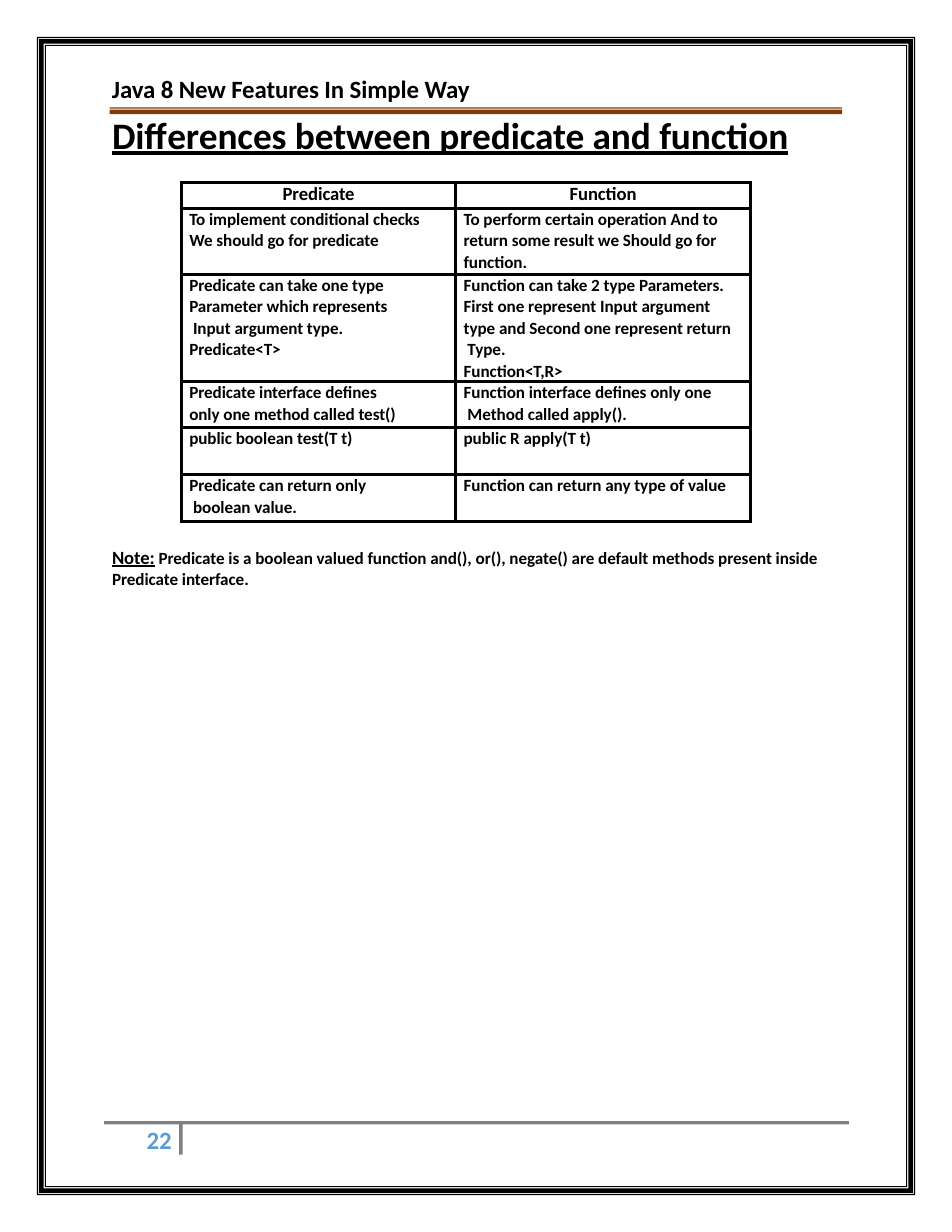
from copy import deepcopy

from lxml.etree import SubElement
from pptx import Presentation
from pptx.dml.color import RGBColor
from pptx.enum.text import MSO_ANCHOR as ANCHOR, MSO_AUTO_SIZE as FIT, PP_ALIGN as ALIGN
from pptx.oxml.ns import qn
from pptx.util import Inches, Pt

COLORS = {"ink": "000000", "rule": "823A0A", "footer": "808080", "page": "5B9BD4"}
COLS, ROWS = 85, 110
ROW_HEIGHTS = [2.3, 5.9, 9.6, 4.1, 4.2, 4.2]
COL_WIDTHS = [24.5, 26.3]
CELLS = [
    (["Predicate"], ["Function"]),
    (["To implement conditional checks\nWe should go for predicate"],
     ["To perform certain operation And to\nreturn some result we Should go for\nfunction."]),
    (["Predicate can take one type\nParameter which represents\n Input argument type.",
      "Predicate<T>"],
     ["Function can take 2 type Parameters.\nFirst one represent Input argument\n"
      "type and Second one represent return\n Type.", "Function<T,R>"]),
    (["Predicate interface defines\nonly one method called test()"],
     ["Function interface defines only one\n Method called apply()."]),
    (["public boolean test(T t)"], ["public R apply(T t)"]),
    (["Predicate can return only\n boolean value."],
     ["Function can return any type of value"]),
]


def write(p, text, size=11, color="ink", underline=False, align=ALIGN.LEFT,
          before=0.2, spacing=None):
    p.alignment, p.space_before = align, Pt(before)
    if spacing:
        p.line_spacing = spacing
    for i, line in enumerate(text.split("\n")):
        if i:
            p.add_line_break()
            p._p[-1].append(deepcopy(r._r.rPr))
        r = p.add_run()
        r.text = line
        r.font.name, r.font.size, r.font.bold = "Calibri", Pt(size), True
        r.font.underline = underline
        r.font.color.rgb = RGBColor.from_string(COLORS[color])
        r._r.rPr.set("spc", "-5")


def box(x, y, w, h):
    return [(x, y), (x + w, y), (x + w, y + h), (x, y + h)]


def inset(d):
    return box(d, d, COLS - 2 * d, ROWS - 2 * d)


class Page:
    def __init__(self, prs):
        self.unit = prs.slide_width / COLS
        self.s = prs.slides.add_slide(prs.slide_layouts[5])

    def at(self, *lengths):
        return [round(v * self.unit) for v in lengths]

    def frame(self, sp, left=0.1):
        tf = sp.text_frame
        tf.word_wrap, tf.auto_size = True, FIT.NONE
        tf.vertical_anchor = ANCHOR.TOP
        tf.margin_left, tf.margin_top, tf.margin_right, tf.margin_bottom = self.at(left, 0.1, 0, 0)
        return tf.paragraphs[0]

    def title(self, text, place, **fmt):
        sp = self.s.shapes.title
        sp.left, sp.top, sp.width, sp.height = self.at(*place)
        write(self.frame(sp), text, **fmt)

    def text(self, place, runs, left=0.1, **fmt):
        p = self.frame(self.s.shapes.add_textbox(*self.at(*place)), left)
        for text, own in runs:
            write(p, text, **{**fmt, **own})

    def outline(self, contours, color):
        first, *others = [[self.at(*pt) for pt in c] for c in contours]
        fb = self.s.shapes.build_freeform(*first[0])
        fb.add_line_segments(first[1:], close=True)
        for c in others:
            fb.move_to(*c[0])
            fb.add_line_segments(c[1:], close=True)
        sp = fb.convert_to_shape()
        sp.shadow.inherit = False
        sp.fill.solid()
        sp.fill.fore_color.rgb = RGBColor.from_string(COLORS[color])
        sp.line.fill.background()

    def border(self, cell, width):
        tcPr = cell._tc.get_or_add_tcPr()
        for side in ("lnL", "lnR", "lnT", "lnB"):
            ln = SubElement(tcPr, qn(f"a:{side}"), w=str(Pt(width)))
            SubElement(SubElement(ln, qn("a:solidFill")), qn("a:srgbClr"), val=COLORS["ink"])

    def table(self, x, y):
        size = self.at(x, y, sum(COL_WIDTHS), sum(ROW_HEIGHTS))
        tbl = self.s.shapes.add_table(len(CELLS), len(COL_WIDTHS), *size).table
        tbl.first_row = tbl.horz_banding = False
        for col, w in zip(tbl.columns, COL_WIDTHS):
            col.width = self.at(w)[0]
        for i, (row, h) in enumerate(zip(tbl.rows, ROW_HEIGHTS)):
            row.height = self.at(h)[0]
            for cell, paragraphs in zip(row.cells, CELLS[i]):
                self.border(cell, 2.25)
                cell.fill.background()
                cell.margin_left = self.at(0.7 if i else 0)[0]
                cell.margin_top = cell.margin_right = cell.margin_bottom = 0
                for j, text in enumerate(paragraphs):
                    tf = cell.text_frame
                    p = tf.add_paragraph() if j else tf.paragraphs[0]
                    if i:
                        write(p, text, spacing=1.02 if "\n" in text else None)
                    else:
                        write(p, text, size=12, align=ALIGN.CENTER, before=0.6)


def main():
    prs = Presentation()
    prs.slide_width, prs.slide_height = Inches(8.5), Inches(11)
    page = Page(prs)
    page.text((9.9, 6.5, 65, 2.8), [("Java 8 New Features In Simple Way", {})],
              size=16, before=0.9)
    page.outline([box(9.8, 9.8, 65.4, 0.4), box(9.8, 9.6, 65.4, 0.1)], "rule")
    page.outline([[(9.3, 100.1), (75.8, 100.1), (75.8, 100.4), (16.3, 100.4),
                   (16.3, 103.1), (16, 103.1), (16, 100.4), (9.3, 100.4)]], "footer")
    page.title("Differences between predicate and function", (9.9, 9.9, 64, 4.3),
               size=24, underline=True, before=1)
    page.table(16.2, 16.3)
    page.text((9.9, 48.6, 64.2, 4.1), [
        ("Note:", {"size": 12, "underline": True}),
        (" Predicate is a boolean valued function and(), or(), negate() are default "
         "methods present inside Predicate interface.", {})], before=0.8, spacing=1.01)
    for outer, inner in ((3.3, 3.4), (3.5, 3.9), (4, 4.1)):
        page.outline([inset(outer), inset(inner)[::-1]], "ink")
    page.text((12.7, 100.7, 3.1, 2.5), [("22", {})], left=0.4, size=16, color="page",
              before=0, spacing=Pt(16.1))
    prs.save("out.pptx")


if __name__ == "__main__":
    main()
